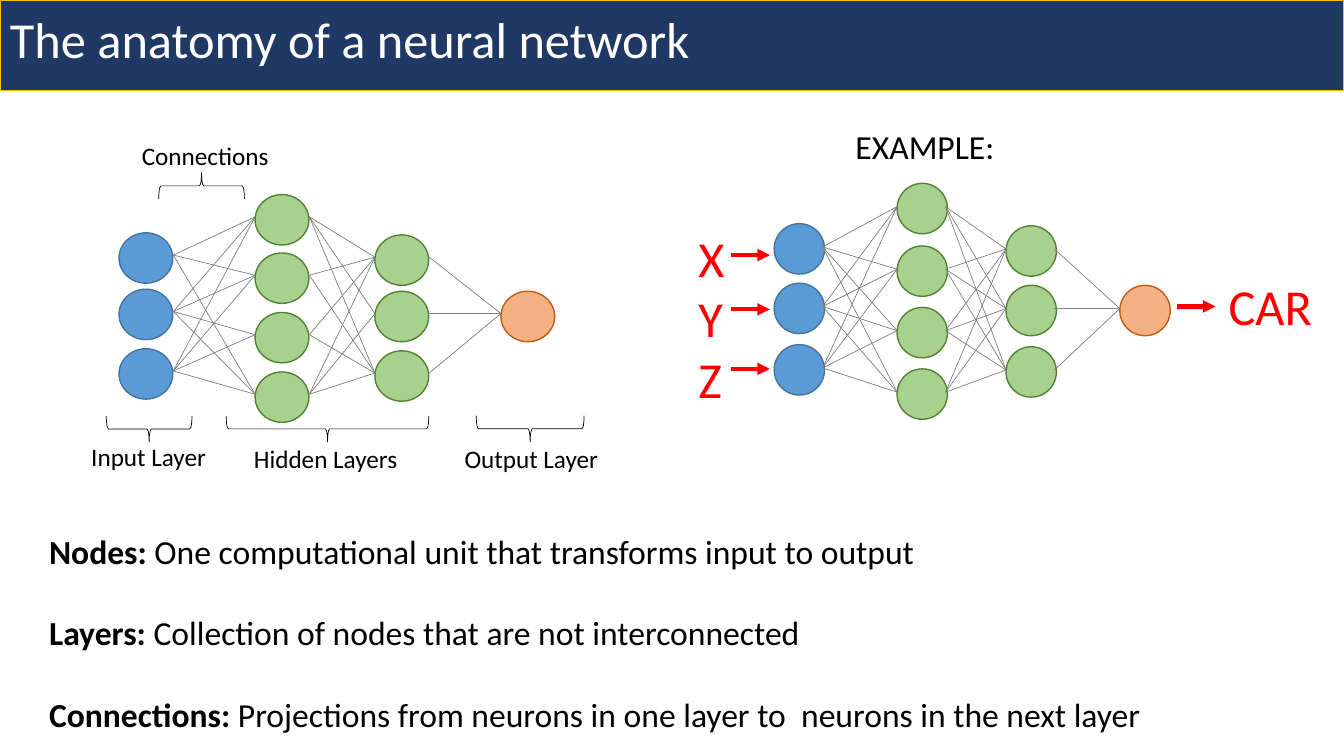
"""Build the slide on the anatomy of a neural network."""
from dataclasses import dataclass
from itertools import pairwise, product

from lxml.etree import SubElement
from pptx import Presentation
from pptx.dml.color import RGBColor
from pptx.enum.shapes import MSO_CONNECTOR, MSO_SHAPE
from pptx.enum.text import MSO_ANCHOR, PP_ALIGN
from pptx.oxml.ns import qn
from pptx.shapes.autoshape import Shape
from pptx.shapes.connector import Connector
from pptx.slide import Slide
from pptx.util import Pt

FONT = "Calibri"
BLACK = RGBColor(0x00, 0x00, 0x00)
WHITE = RGBColor(0xFF, 0xFF, 0xFF)
RED = RGBColor(0xFF, 0x00, 0x00)
GRAY = RGBColor(0x80, 0x80, 0x80)
NAVY = RGBColor(0x20, 0x38, 0x64)
GOLD = RGBColor(0xFF, 0xC0, 0x00)
BLUE = RGBColor(0x5B, 0x9B, 0xD5)
BLUE_EDGE = RGBColor(0x43, 0x73, 0x9E)
GREEN = RGBColor(0xA9, 0xD1, 0x8E)
GREEN_EDGE = RGBColor(0x54, 0x82, 0x35)
ORANGE = RGBColor(0xF4, 0xB1, 0x83)
ORANGE_EDGE = RGBColor(0xC5, 0x5A, 0x11)

LAYER_COLORS = [(BLUE, BLUE_EDGE), (GREEN, GREEN_EDGE), (GREEN, GREEN_EDGE), (ORANGE, ORANGE_EDGE)]
NODE_HEIGHT = 36


@dataclass
class Layer:
    left: float
    tops: list[float]


@dataclass
class Network:
    layers: list[Layer]
    node_width: float
    exit_shift: float
    link_drop: float
    missing_links: set[tuple[int, int, int]]


@dataclass
class Label:
    text: str
    left: float
    top: float
    width: float
    height: float
    size: float
    color: RGBColor = BLACK
    align: PP_ALIGN = PP_ALIGN.LEFT


@dataclass
class Brace:
    left: float
    top: float
    height: float
    rotation: float


@dataclass
class Arrow:
    left: float
    right: float
    y: float


NETWORKS = [
    Network([Layer(85, [166.3, 206.6, 249.1]), Layer(182.2, [139, 180.7, 223.2, 265.7]),
             Layer(267.8, [167.8, 208.1, 250.6]), Layer(357.8, [208.1])],
            38.4, 0.4, 15.9, {(0, 0, 2), (1, 1, 1), (1, 2, 1)}),
    Network([Layer(553, [159.8, 202.3, 246.2]), Layer(640.8, [131, 175.7, 219.6, 263.5]),
             Layer(718.6, [161.3, 203.8, 247.7]), Layer(799.9, [203.8])],
            36, -1.4, 16.6, set()),
]

LABELS = [
    Label("Input Layer", 49.7, 311.8, 113, 26.6, 18, align=PP_ALIGN.CENTER),
    Label("Hidden Layers", 160.6, 313.2, 144, 26.6, 18, align=PP_ALIGN.CENTER),
    Label("Output Layer", 322.6, 313.2, 113.8, 26.6, 18, align=PP_ALIGN.CENTER),
    Label("Connections", 77.8, 96.5, 137.5, 26.6, 18, align=PP_ALIGN.CENTER),
    Label("X\nY\nZ", 491.8, 158.4, 46, 127.4, 36, RED),
    Label("CAR", 870.5, 193, 77, 46.8, 36, RED),
    Label("EXAMPLE:", 604, 86.4, 241, 36, 24),
]

BRACE_WIDTH = 18.7
BRACES = [
    Brace(224.6, 234, 144.7, 270),
    Brace(369.4, 267.8, 77, 270),
    Brace(97.2, 275.8, 61.2, 270),
    Brace(134.6, 102.2, 61.2, 90),
]

ARROWS = [Arrow(522, 550, 182.2), Arrow(522, 550, 221), Arrow(522, 550, 263.5), Arrow(841, 868.3, 218.9)]

DEFINITIONS = [
    ("Nodes: ", "One computational unit that transforms input to output"),
    ("Layers: ", "Collection of nodes that are not interconnected"),
    ("Connections: ", "Projections from neurons in one layer to  neurons in the next layer"),
]


def add_outlined(page: Slide, kind: MSO_SHAPE, left: float, top: float, width: float, height: float,
                 edge: RGBColor, fill: RGBColor | None = None, weight: float = 1) -> Shape:
    shape = page.shapes.add_shape(kind, Pt(left), Pt(top), Pt(width), Pt(height))
    shape.shadow.inherit = False
    if fill is None:
        shape.fill.background()
    else:
        shape.fill.solid()
        shape.fill.fore_color.rgb = fill
    shape.line.color.rgb = edge
    shape.line.width = Pt(weight)
    return shape


def add_line(page: Slide, start: tuple[float, float], end: tuple[float, float],
             color: RGBColor, weight: float) -> Connector:
    line = page.shapes.add_connector(MSO_CONNECTOR.STRAIGHT, *map(Pt, start + end))
    line.line.color.rgb = color
    line.line.width = Pt(weight)
    SubElement(line._element.spPr, qn("a:effectLst"))
    return line


def add_label(page: Slide, label: Label) -> Shape:
    box = page.shapes.add_textbox(Pt(label.left), Pt(label.top), Pt(label.width), Pt(label.height))
    box.text_frame.word_wrap = True
    box.text_frame.text = label.text
    for para in box.text_frame.paragraphs:
        para.alignment = label.align
        for span in para.runs:
            span.font.name = FONT
            span.font.size = Pt(label.size)
            span.font.color.rgb = label.color
    return box


def add_network(page: Slide, network: Network) -> None:
    for layer, (fill, edge) in zip(network.layers, LAYER_COLORS):
        for top in layer.tops:
            add_outlined(page, MSO_SHAPE.OVAL, layer.left, top, network.node_width, NODE_HEIGHT, edge, fill)
    for step, (source, target) in enumerate(pairwise(network.layers)):
        exit_x = source.left + network.node_width + network.exit_shift
        for (i, start), (j, end) in product(enumerate(source.tops), enumerate(target.tops)):
            if (step, i, j) not in network.missing_links:
                add_line(page, (exit_x, start + network.link_drop),
                         (target.left, end + network.link_drop), GRAY, 0.5)


def add_arrow(page: Slide, arrow: Arrow) -> None:
    line = add_line(page, (arrow.left, arrow.y), (arrow.right, arrow.y), RED, 3)
    SubElement(line.line._get_or_add_ln(), qn("a:tailEnd"), type="triangle")


def add_definitions(page: Slide) -> None:
    text = "\n".join(term + meaning for term, meaning in DEFINITIONS)
    box = add_label(page, Label(text, 28, 375.8, 900, 164, 24))
    for index, (para, (term, meaning)) in enumerate(zip(box.text_frame.paragraphs, DEFINITIONS)):
        para.text = term
        para.add_run().text = meaning
        para.space_before = Pt(29.3 if index else 0)
        for span in para.runs:
            span.font.name = FONT
            span.font.size = Pt(24)
            span.font.color.rgb = BLACK
        para.runs[0].font.bold = True


def main() -> None:
    deck = Presentation()
    deck.slide_width, deck.slide_height = Pt(960), Pt(540)
    page = deck.slides.add_slide(deck.slide_layouts[6])
    add_outlined(page, MSO_SHAPE.RECTANGLE, 0, 0, 960, 64.8, GOLD, NAVY)
    title = add_label(page, Label("The anatomy of a neural network", 0, 0, 960, 60.5, 36, WHITE))
    title.text_frame.vertical_anchor = MSO_ANCHOR.MIDDLE
    title.text_frame.paragraphs[0].line_spacing = 0.9
    for network in NETWORKS:
        add_network(page, network)
    for brace in BRACES:
        shape = add_outlined(page, MSO_SHAPE.LEFT_BRACE, brace.left, brace.top, BRACE_WIDTH,
                             brace.height, BLACK, weight=0.5)
        shape.rotation = brace.rotation
    for label in LABELS:
        add_label(page, label)
    for arrow in ARROWS:
        add_arrow(page, arrow)
    add_definitions(page)
    deck.save("out.pptx")


if __name__ == "__main__":
    main()
